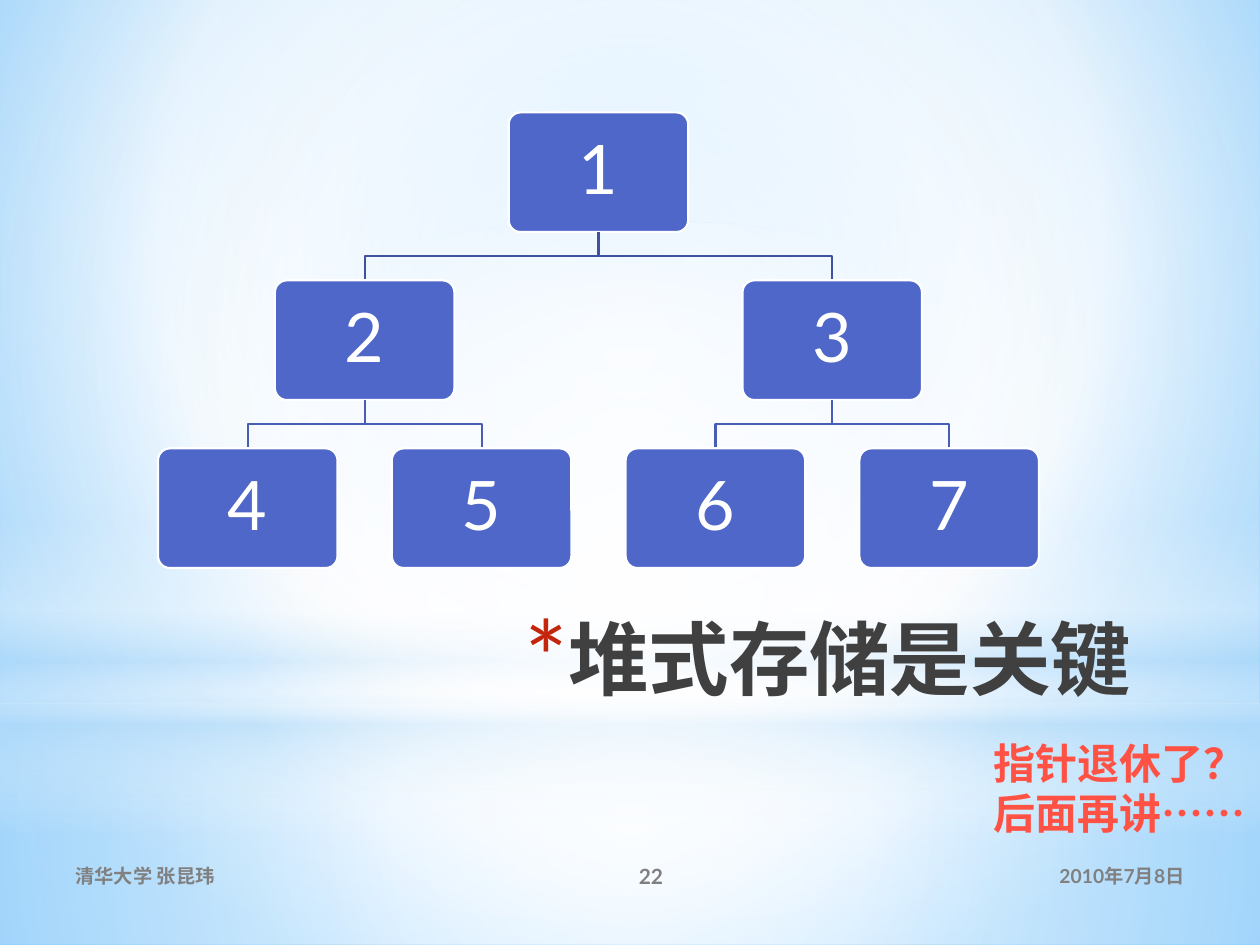
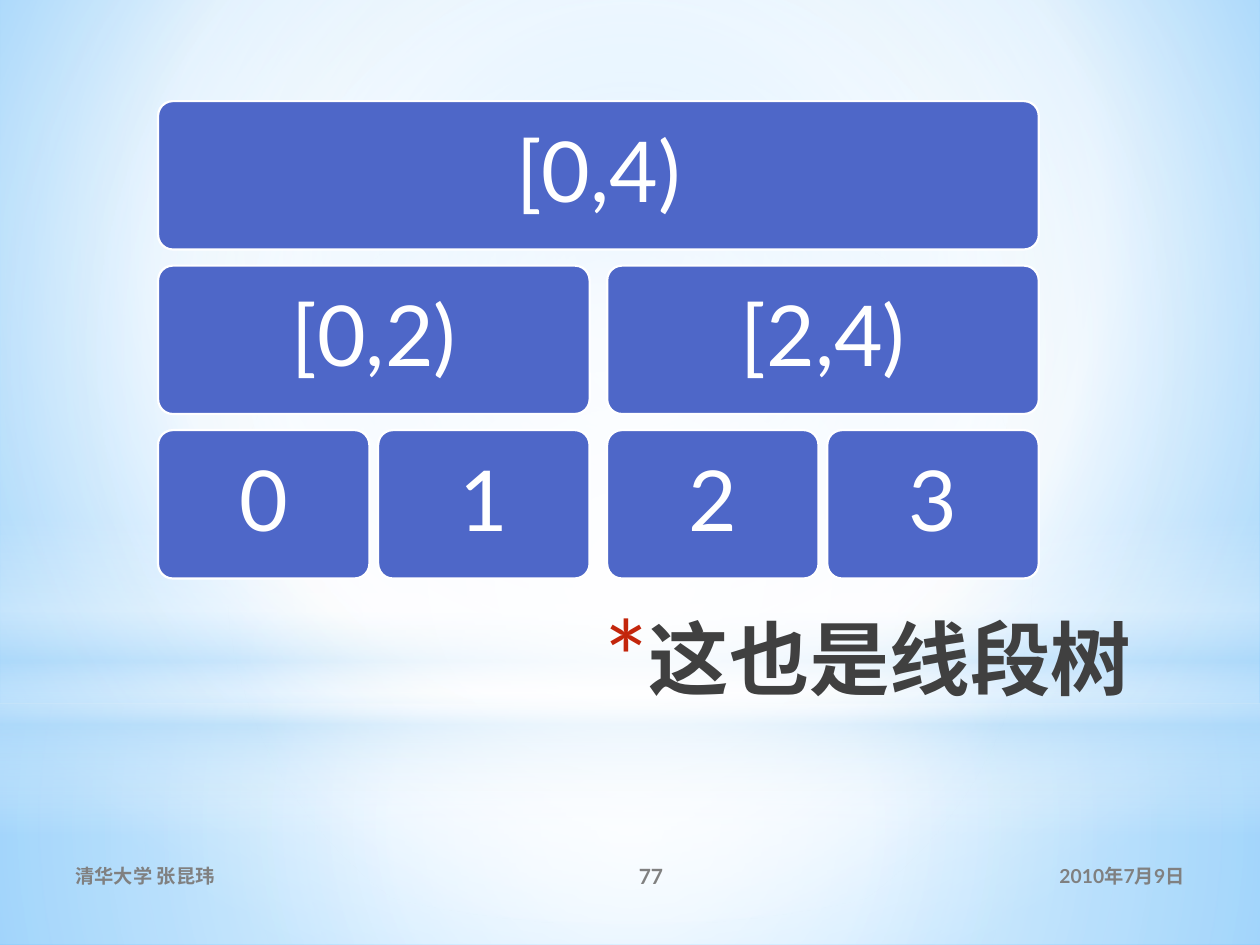
from lxml import etree
from pptx import Presentation
from pptx.dml.color import RGBColor
from pptx.enum.shapes import MSO_SHAPE
from pptx.enum.text import MSO_ANCHOR, MSO_AUTO_SIZE, PP_ALIGN
from pptx.oxml.ns import qn
from pptx.util import Pt

RECT, ROUND, OVAL = MSO_SHAPE.RECTANGLE, MSO_SHAPE.ROUNDED_RECTANGLE, MSO_SHAPE.OVAL
LEFT, CENTER, RIGHT = PP_ALIGN.LEFT, PP_ALIGN.CENTER, PP_ALIGN.RIGHT
TOP, MIDDLE = MSO_ANCHOR.TOP, MSO_ANCHOR.MIDDLE
NO_FIT, GROW = MSO_AUTO_SIZE.NONE, MSO_AUTO_SIZE.SHAPE_TO_FIT_TEXT

FONT = "Lato"
BLUE, WHITE, GREY, BULLET = "4E67C8", "FFFFFF", "808080", "C3260C"
EDGES = ["3E52A0", "475DB6"]
MIDPOINT = (50, 50, 50, 50)
TITLE_STOPS = [(0, "000000", 100), (40, "404040", 100), (100, "212745", 65)]
NOTE_STOPS = [(0, "8A1300", 100), (78, "FF5244", 100), (100, "FFF0F0", 100)]
SKY_STOPS = [(0, "9ED5FF", 100), (60, WHITE, 100), (100, "5BB9FF", 100)]
BANDS = [
    (RECT, 401.8, 138.2, [(0, WHITE, 91), (37, WHITE, 76), (100, "B4DCFA", 79)], MIDPOINT),
    (RECT, 0, 401.8, [(0, WHITE, 89), (48, WHITE, 62), (100, "B4DCFA", 79)], MIDPOINT),
    (RECT, 296.6, 180, [(0, WHITE, 0), (29, WHITE, 30), (45, "B4DCFA", 40),
                        (55, WHITE, 26), (65, "B4DCFA", 60), (100, WHITE, 0)], None),
    (OVAL, 126, 401.8, [(0, WHITE, 100), (56, WHITE, 0)], MIDPOINT),
]


def rgb(value):
    """Turn a hex string into a colour."""
    return RGBColor.from_string(value)


def add_xml(parent, tag, **attrs):
    """Append a DrawingML child with the given attributes."""
    return etree.SubElement(parent, qn("a:" + tag), {k: str(v) for k, v in attrs.items()})


def make_gradient(parent, stops, focus=None):
    """Replace the solid fill of an element by a circular or vertical gradient."""
    solid = parent.find(qn("a:solidFill"))
    grad = etree.Element(qn("a:gradFill"), rotWithShape="1")
    gs_list = add_xml(grad, "gsLst")
    for pos, color, opacity in stops:
        clr = add_xml(add_xml(gs_list, "gs", pos=pos * 1000), "srgbClr", val=color)
        if opacity < 100:
            add_xml(clr, "alpha", val=opacity * 1000)
    if focus:
        sides = {k: v * 1000 for k, v in zip("ltrb", focus)}
        add_xml(add_xml(grad, "path", **{"path": "circle"}), "fillToRect", **sides)
    else:
        add_xml(grad, "lin", ang=5400000, scaled=0)
    parent.replace(solid, grad)


class Deck:
    """Holds the shared style and the current slide."""

    def __init__(self):
        """Start an empty presentation."""
        self.prs = Presentation()
        self.prs.slide_width, self.prs.slide_height = Pt(720), Pt(540)
        self.s = None

    def add_slide(self, title, number, date):
        """Add a slide with its title and footer."""
        self.s = self.prs.slides.add_slide(self.prs.slide_layouts[5])
        self.title(title)
        footer = {"size": 11, "color": GREY, "bold": True}
        self.label(date, 486, 486, 198, 28.8, align=RIGHT, **footer)
        self.label("清华大学 张昆玮", 36, 486, 264, 28.8, **footer)
        self.label(number, 300, 486, 144, 28.8, align=CENTER, **{**footer, "size": 12})

    def paint_master(self):
        """Put the sky and the light bands on the slide master."""
        master = self.prs.slide_master
        master.background.fill.solid()
        make_gradient(master.element.find(".//" + qn("p:bgPr")), SKY_STOPS, (20, 10, 20, 60))
        for i, (kind, y, h, stops, focus) in enumerate(BANDS):
            sp = self.shape(kind, 0, y, 720, h, WHITE)
            make_gradient(sp.element.spPr, stops, focus)
            master.shapes.element.insert(2 + i, sp.element)

    def put_text(self, tf, text, size, color, bold=False, align=LEFT, spacing=1.0, **frame):
        """Fill a text frame with paragraphs of one style."""
        for name, value in frame.items():
            setattr(tf, name, value)
        for i, line in enumerate(text.split("\n")):
            p = tf.paragraphs[0] if i == 0 else tf.add_paragraph()
            p.alignment, p.line_spacing = align, spacing
            r = p.add_run()
            r.text = line
            for name, value in {"name": FONT, "size": Pt(size), "bold": bold}.items():
                setattr(r.font, name, value)
            r.font.fill.solid()
            if isinstance(color, str):
                r.font.fill.fore_color.rgb = rgb(color)
            else:
                make_gradient(r._r.get_or_add_rPr(), color)

    def title(self, text):
        """Format the title placeholder with its star bullet."""
        sp = self.s.shapes.title
        sp.left, sp.top, sp.width, sp.height = Pt(141), Pt(344.2), Pt(512.6), Pt(90)
        self.put_text(sp.text_frame, text, 46, TITLE_STOPS, True, RIGHT,
                      vertical_anchor=TOP, auto_size=NO_FIT, word_wrap=True)
        pPr = sp.text_frame.paragraphs[0]._p.get_or_add_pPr()
        pPr.set("marL", str(Pt(25.2)))
        pPr.set("indent", str(-Pt(25.2)))
        add_xml(add_xml(pPr, "buClr"), "srgbClr", val=BULLET)
        add_xml(pPr, "buSzPct", val=128000)
        add_xml(pPr, "buFont", typeface=FONT)
        add_xml(pPr, "buChar", char="*")

    def label(self, text, x, y, w, h, **style):
        """Add a text box."""
        sp = self.s.shapes.add_textbox(Pt(x), Pt(y), Pt(w), Pt(h))
        frame = {"word_wrap": True, "vertical_anchor": MIDDLE}
        self.put_text(sp.text_frame, text, **{**frame, **style})

    def shape(self, kind, x, y, w, h, color):
        """Add a plain filled shape without outline."""
        sp = self.s.shapes.add_shape(kind, Pt(x), Pt(y), Pt(w), Pt(h))
        sp.shadow.inherit = False
        sp.fill.solid()
        sp.fill.fore_color.rgb = rgb(color)
        sp.line.fill.background()
        return sp

    def node(self, text, x, y, w, h, size):
        """Add a rounded tree node."""
        sp = self.shape(ROUND, x, y, w, h, BLUE)
        sp.adjustments[0] = 0.1
        sp.line.color.rgb, sp.line.width = rgb(WHITE), Pt(1.25)
        self.put_text(sp.text_frame, text, size, WHITE, align=CENTER, spacing=0.9,
                      vertical_anchor=MIDDLE, word_wrap=True)

    def branch(self, x1, y1, x2, y2, color):
        """Draw a stepped line from a parent down to a child."""
        mid = (y1 + y2) / 2
        fb = self.s.shapes.build_freeform(Pt(x1), Pt(y1))
        fb.add_line_segments([(Pt(x), Pt(y)) for x, y in [(x1, mid), (x2, mid), (x2, y2)]],
                             close=False)
        sp = fb.convert_to_shape()
        sp.shadow.inherit = False
        sp.fill.background()
        sp.line.color.rgb, sp.line.width = rgb(color), Pt(1.25)

    def heap(self, levels, x, y, w, h, step, pitch):
        """Draw a full binary tree numbered in heap order."""
        def place(k):
            """Return the depth, centre and top of node k."""
            depth = k.bit_length() - 1
            span = 2 ** (levels - 1 - depth)
            column = span * (k - 2 ** depth + 0.5) - 0.5
            return depth, x + w / 2 + step * column, y + pitch * depth

        for k in range(1, 2 ** levels):
            depth, cx, top = place(k)
            if k > 1:
                _, parent_cx, parent_top = place(k // 2)
                self.branch(parent_cx, parent_top + h, cx, top, EDGES[depth - 1])
            self.node(str(k), cx - w / 2, top, w, h, 39)

    def segment(self, lo, hi, x, y, w, h, pitch):
        """Draw the segment [lo,hi) and its halves below it."""
        self.node(f"[{lo},{hi})" if hi - lo > 1 else str(lo), x, y, w, h, 48)
        if hi - lo > 1:
            mid, gap = (lo + hi) // 2, 2.5 * (hi - lo)
            half = (w - gap) / 2
            self.segment(lo, mid, x, y + pitch, half, h, pitch)
            self.segment(mid, hi, x + half + gap, y + pitch, half, h, pitch)


def main():
    """Build both slides and save them."""
    deck = Deck()
    deck.add_slide("堆式存储是关键", "22", "2010年7月8日")
    deck.paint_master()
    deck.heap(3, x=90.3, y=64.2, w=102.6, h=68.4, step=133.6, pitch=96)
    deck.label("指针退休了？\n后面再讲……", 559.4, 417.6, 160.6, 65.4, size=24,
               color=NOTE_STOPS, bold=True, align=CENTER, word_wrap=False,
               vertical_anchor=TOP, auto_size=GROW)

    deck.add_slide("这也是线段树", "77", "2010年7月9日")
    deck.segment(0, 4, x=90.3, y=57.8, w=503.3, h=84.8, pitch=94)
    deck.prs.save("out.pptx")


if __name__ == "__main__":
    main()
